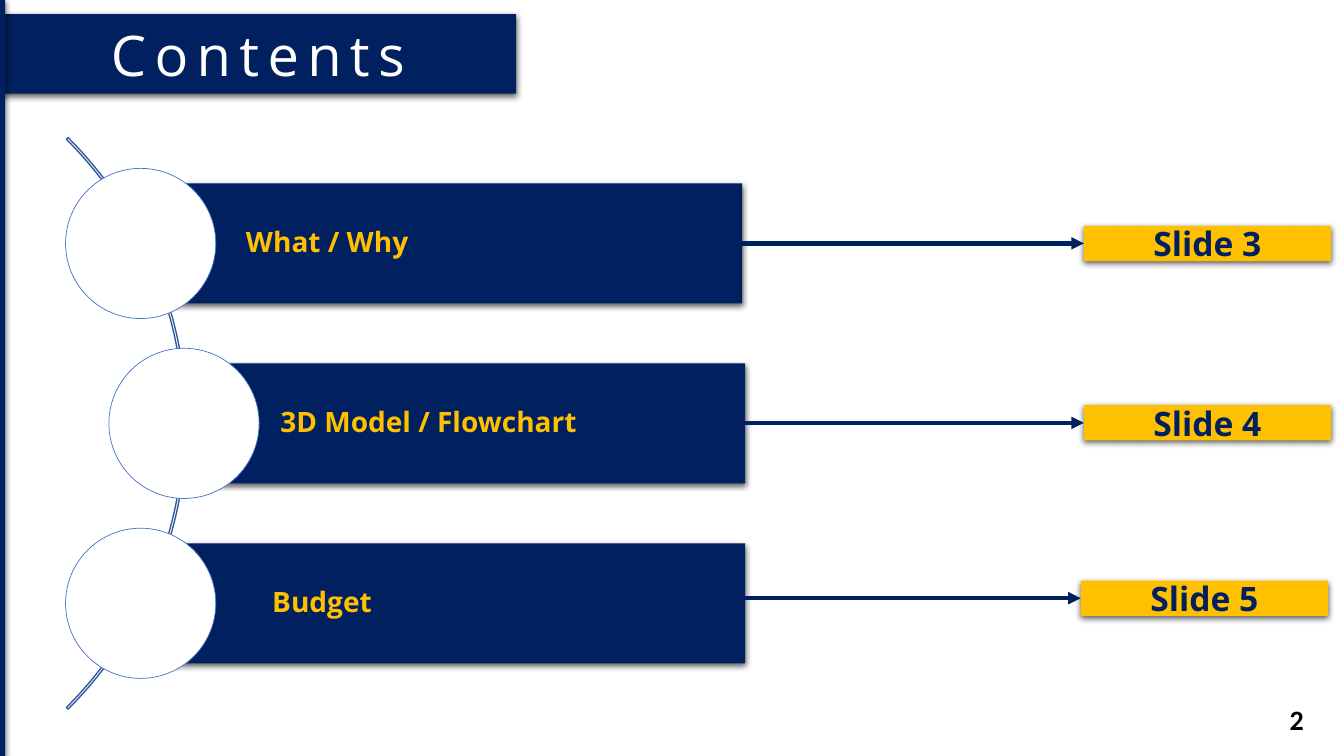
from collections import namedtuple
from dataclasses import dataclass

from lxml import etree
from pptx import Presentation
from pptx.dml.color import RGBColor
from pptx.enum.shapes import MSO_CONNECTOR, MSO_SHAPE
from pptx.enum.text import MSO_ANCHOR, PP_ALIGN
from pptx.oxml.ns import qn
from pptx.util import Inches, Pt


@dataclass(frozen=True)
class Theme:
    navy: str = "002060"
    gold: str = "FFC000"
    white: str = "FFFFFF"
    black: str = "000000"
    arc: str = "365B9D"
    ring: str = "4472C4"
    font: str = "Open Sans"
    number_font: str = "Calibri"
    title: int = 40
    tag: int = 24
    body: int = 20


THEME = Theme()
Box = namedtuple("Box", "left top width height")
Entry = namedtuple("Entry", "topic target ring_left band_right text_left tag_left tag_top")
ENTRIES = [
    Entry("What / Why", "Slide 3", 0.65, 7.36, 2.44, 10.75, 2.24),
    Entry("3D Model / Flowchart", "Slide 4", 1.08, 7.39, 2.78, 10.75, 4.02),
    Entry("Budget", "Slide 5", 0.65, 7.39, 2.7, 10.72, 5.76),
]
RING_SIZE = 1.49
BAND_HEIGHT = 1.19
TAG_WIDTH, TAG_HEIGHT = 2.45, 0.35


def rgb(color):
    return RGBColor.from_string(color)


def add_effects(shape, shadow=False):
    effects = etree.SubElement(shape._element.spPr, qn("a:effectLst"))
    if shadow:
        outer = etree.SubElement(
            effects, qn("a:outerShdw"), blurRad=str(Pt(4.5)), dist=str(Pt(1.5)),
            dir="5400000", algn="t", rotWithShape="0")
        color = etree.SubElement(outer, qn("a:srgbClr"), val=THEME.black)
        etree.SubElement(color, qn("a:alpha"), val="63000")


def add_block(slide, kind, box, fill=None, line=None, line_width=1):
    shape = slide.shapes.add_shape(kind, *map(Inches, box))
    if fill:
        shape.fill.solid()
        shape.fill.fore_color.rgb = rgb(fill)
    else:
        shape.fill.background()
    if line:
        shape.line.color.rgb = rgb(line)
        shape.line.width = Pt(line_width)
        shape.shadow.inherit = False
    else:
        shape.line.fill.background()
        add_effects(shape, shadow=True)
    return shape


def write(shape, text, size, color, align=PP_ALIGN.CENTER, bold=True,
          font=THEME.font, insets=(0.1, 0.05, 0.1, 0.05)):
    frame = shape.text_frame
    frame.word_wrap = True
    frame.vertical_anchor = MSO_ANCHOR.MIDDLE
    (frame.margin_left, frame.margin_top,
     frame.margin_right, frame.margin_bottom) = map(Inches, insets)
    paragraph = frame.paragraphs[0]
    paragraph.alignment = align
    run = paragraph.add_run()
    run.text = text
    run.font.name = font
    run.font.size = Pt(size)
    run.font.bold = bold
    run.font.color.rgb = rgb(color)
    return paragraph, run


def add_arrow(slide, start, end):
    arrow = slide.shapes.add_connector(
        MSO_CONNECTOR.STRAIGHT, *map(Inches, (*start, *end)))
    arrow.line.color.rgb = rgb(THEME.navy)
    arrow.line.width = Pt(3)
    etree.SubElement(arrow.line._get_or_add_ln(), qn("a:tailEnd"), type="triangle")
    add_effects(arrow)


def add_title(slide, box):
    banner = add_block(slide, MSO_SHAPE.RECTANGLE, box, THEME.navy)
    _, run = write(banner, "Contents", THEME.title, THEME.white, bold=False)
    run.font._element.set("spc", "600")


def add_arc(slide, box):
    arc = add_block(slide, MSO_SHAPE.BLOCK_ARC, box, line=THEME.arc)
    for index, value in enumerate((189, 27, 0.003)):
        arc.adjustments[index] = value


def add_entry(slide, box, entry):
    ring = Box(entry.ring_left, box.top, RING_SIZE, RING_SIZE)
    band_left = ring.left + RING_SIZE / 2
    band = add_block(
        slide, MSO_SHAPE.RECTANGLE,
        Box(band_left, box.top + (box.height - BAND_HEIGHT) / 2,
            entry.band_right - band_left, BAND_HEIGHT), THEME.navy)
    paragraph, _ = write(
        band, entry.topic, THEME.body, THEME.gold, PP_ALIGN.LEFT,
        insets=(entry.text_left - band_left, 0.06, 0.06, 0.06))
    paragraph.line_spacing = 0.9
    add_block(slide, MSO_SHAPE.OVAL, ring, THEME.white, THEME.ring, 0.5)

    tag = add_block(slide, MSO_SHAPE.RECTANGLE,
                    Box(entry.tag_left, entry.tag_top, TAG_WIDTH, TAG_HEIGHT), THEME.gold)
    write(tag, entry.target, THEME.tag, THEME.navy, insets=(0.08,) * 4)
    middle = entry.tag_top + TAG_HEIGHT / 2
    add_arrow(slide, (entry.band_right, middle), (entry.tag_left, middle))


def add_contents(slide, box):
    add_arc(slide, Box(-6.17, 0.19, 8.02, 8.02))
    pitch = (box.height - RING_SIZE) / (len(ENTRIES) - 1)
    for index, entry in enumerate(ENTRIES):
        add_entry(slide, Box(box.left, box.top + index * pitch, box.width, RING_SIZE), entry)


def add_page_number(slide, box):
    number = slide.shapes.add_textbox(*map(Inches, box))
    write(number, "2", THEME.body, THEME.black, PP_ALIGN.RIGHT, font=THEME.number_font)


def main():
    deck = Presentation()
    deck.slide_width, deck.slide_height = Inches(13.33), Inches(7.5)
    slide = deck.slides.add_slide(deck.slide_layouts[6])
    add_title(slide, Box(0, 0.14, 5.12, 0.79))
    add_block(slide, MSO_SHAPE.RECTANGLE, Box(0, 0, 0.05, 7.5), THEME.navy)
    add_contents(slide, Box(0.65, 1.67, 12.55, 5.06))
    add_page_number(slide, Box(10.03, 6.94, 3, 0.4))
    deck.save("out.pptx")


main()
